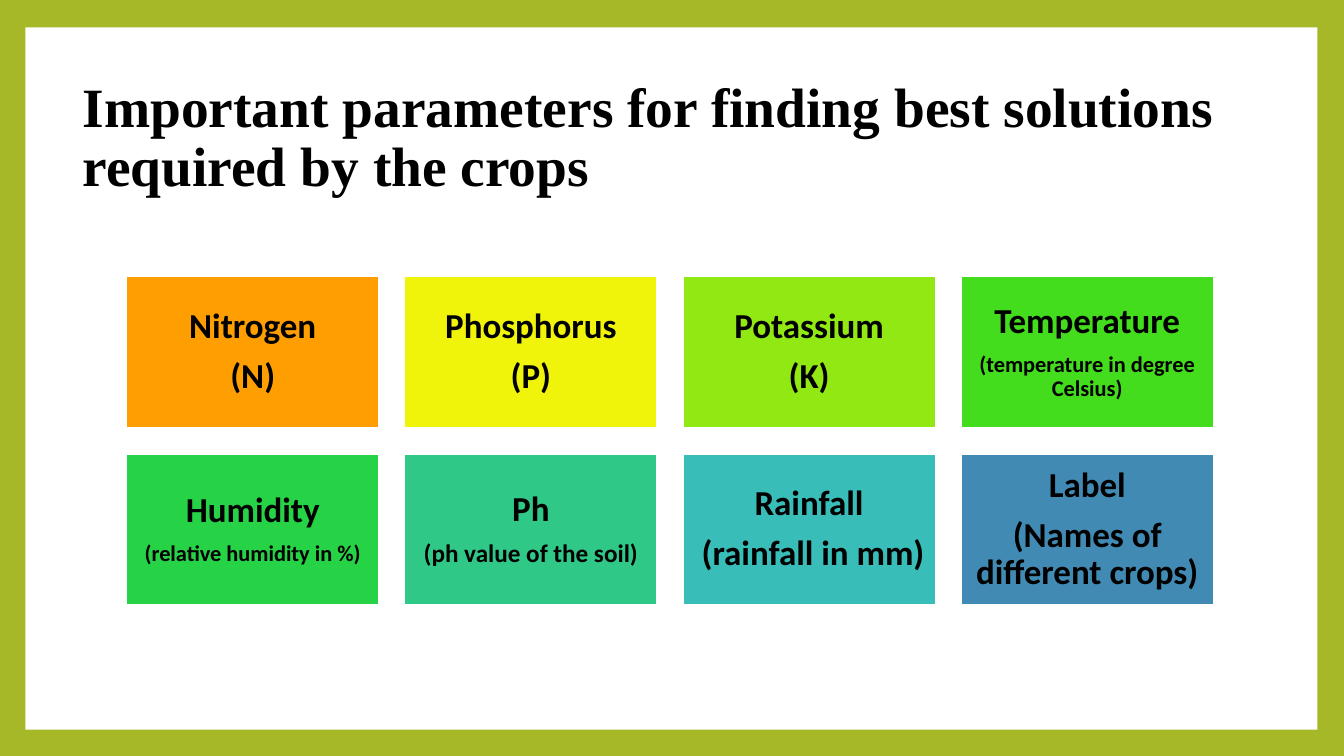
"""Build the slide listing the crop parameters as a grid of coloured tiles."""
from pptx import Presentation
from pptx.dml.color import RGBColor
from pptx.enum.shapes import MSO_SHAPE
from pptx.enum.text import MSO_ANCHOR, PP_ALIGN
from pptx.util import Cm, Pt

RECT = MSO_SHAPE.RECTANGLE
MIDDLE = MSO_ANCHOR.MIDDLE
LEFT, CENTER = PP_ALIGN.LEFT, PP_ALIGN.CENTER

COLUMNS = 4
TILE_W, TILE_H = 6.38, 3.83
GRID_X, GRID_Y = 3.18, 6.96
STEP_X, STEP_Y = 7.01, 4.47
NAME_SIZE = 25

TILES = [
    ("Nitrogen", "(N)", 25, "FE9E00"),
    ("Phosphorus", "(P)", 25, "F0F30A"),
    ("Potassium", "(K)", 25, "92E813"),
    ("Temperature", "(temperature in degree Celsius)", 16, "44DD1D"),
    ("Humidity", "(relative humidity in %)", 16, "26D246"),
    ("Ph", "(ph value of the soil)", 18, "2FC887"),
    ("Rainfall", " (rainfall in mm)", 25, "38BDB9"),
    ("Label", "(Names of different crops)", 25, "418AB3"),
]


def paint(fill, color):
    fill.solid()
    fill.fore_color.rgb = RGBColor.from_string(color)


def style(p, name, size, align):
    p.alignment = align
    p.line_spacing = 0.9
    for r in p.runs:
        r.font.name = name
        r.font.size = Pt(size)
        r.font.bold = True
        paint(r.font.fill, "000000")


prs = Presentation()
prs.slide_width, prs.slide_height = Cm(33.87), Cm(19.05)
s = prs.slides.add_slide(prs.slide_layouts[5])
paint(s.background.fill, "A6B727")

panel = s.shapes.add_shape(RECT, Cm(0.64), Cm(0.69), Cm(32.56), Cm(17.7))
panel.shadow.inherit = False
paint(panel.fill, "FFFFFF")
panel.line.fill.background()
s.shapes._spTree.insert(2, panel._element)

title = s.shapes.title
title.left, title.top, title.width, title.height = Cm(1.83), Cm(1.7), Cm(30.71), Cm(3.61)
tf = title.text_frame
tf.text = "Important parameters for finding best solutions required by the crops"
tf.word_wrap = True
tf.vertical_anchor = MIDDLE
style(tf.paragraphs[0], "Times New Roman", 39.6, LEFT)

for i, (name, detail, detail_size, color) in enumerate(TILES):
    row, col = divmod(i, COLUMNS)
    sp = s.shapes.add_shape(RECT, Cm(GRID_X + col * STEP_X), Cm(GRID_Y + row * STEP_Y),
                            Cm(TILE_W), Cm(TILE_H))
    sp.shadow.inherit = False
    paint(sp.fill, color)
    paint(sp.line.fill, "FFFFFF")
    sp.line.width = Pt(1.5)
    tf = sp.text_frame
    tf.word_wrap = True
    tf.vertical_anchor = MIDDLE
    tf.margin_left = tf.margin_right = tf.margin_top = tf.margin_bottom = Cm(0.25)
    tf.text = f"{name}\n{detail}"
    for p, size in zip(tf.paragraphs, (NAME_SIZE, detail_size)):
        style(p, "Calibri", size, CENTER)
        p.space_after = Pt(0.35 * size)

prs.save("out.pptx")
